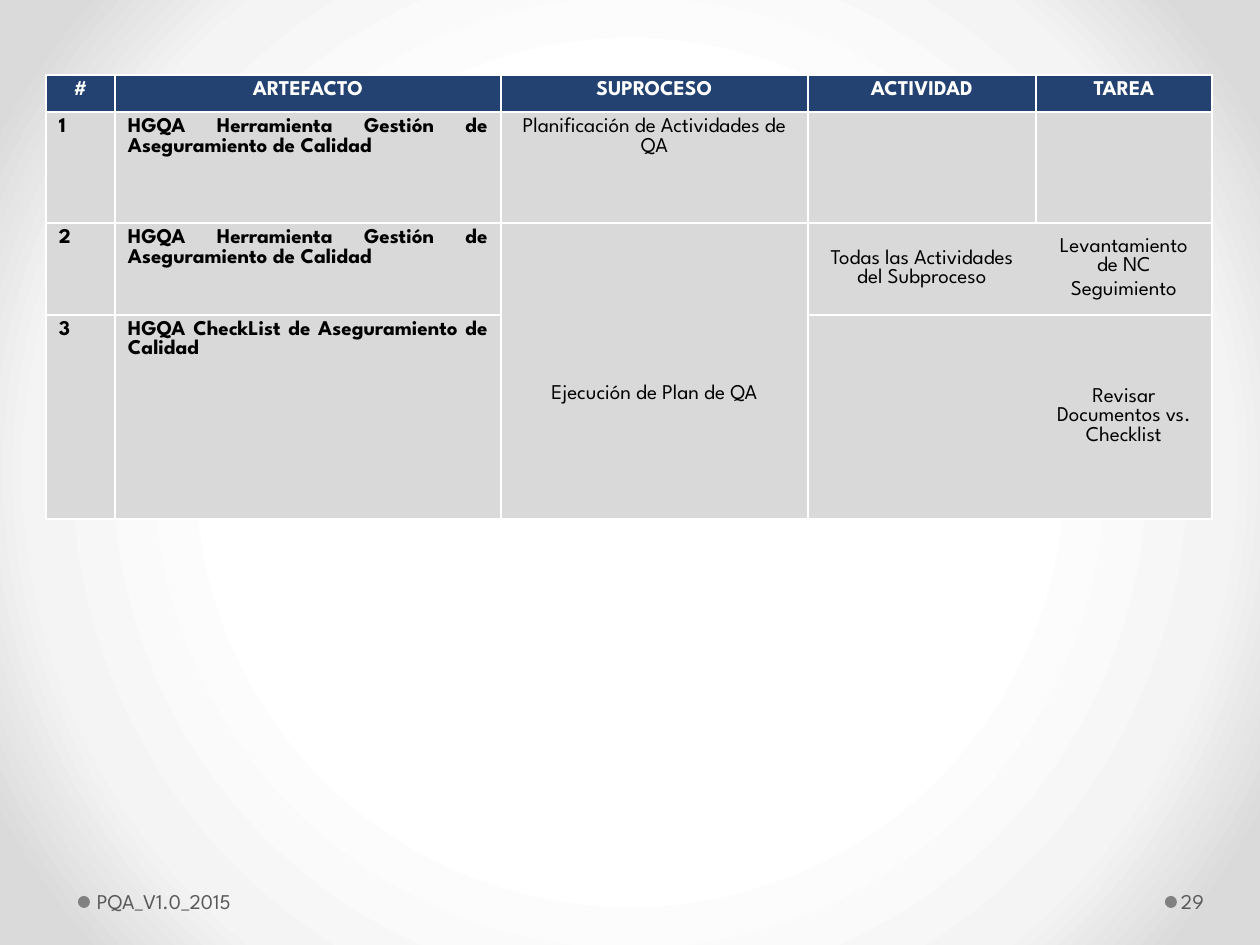
"""Build the slide that maps quality artefacts to subprocesses, activities and tasks."""
from dataclasses import dataclass

from pptx import Presentation
from pptx.dml.color import RGBColor
from pptx.enum.shapes import MSO_SHAPE as Shape
from pptx.enum.text import MSO_ANCHOR as Anchor, PP_ALIGN as Align
from pptx.oxml import parse_xml
from pptx.util import Pt

PIXEL = 914400 // 126
NS = 'xmlns:{0}="http://schemas.openxmlformats.org/{1}/2006/main"'
DRAWING = NS.format("a", "drawingml")
SLIDE = NS.format("p", "presentationml")


@dataclass(frozen=True)
class Theme:
    font: str = "League Spartan"
    size: float = 12
    header: str = "234271"
    body: str = "D9D9D9"
    white: str = "FFFFFF"
    black: str = "000000"
    footer: str = "595959"
    dot: str = "808080"
    thin: float = 1
    thick: float = 1.5
    glow: tuple = ((50, "FFFFFF"), (76, "F4F4F4"), (92, "DADADA"))


theme = Theme()


def write(frame, text, color=theme.black, bold=False, align=Align.LEFT,
          anchor=Anchor.TOP, before=0, margins=(13, 6, 13, 6)):
    """Fill a text frame or a table cell, one paragraph for each line of text."""
    frame.margin_left, frame.margin_top, frame.margin_right, frame.margin_bottom = (
        side * PIXEL for side in margins)
    frame.vertical_anchor = anchor
    body = getattr(frame, "text_frame", frame)
    body.word_wrap = True
    body.text = text
    for para in body.paragraphs:
        para.alignment = align
        para.space_before = Pt(before)
        para.font.size = Pt(theme.size)
        for span in para.runs:
            span.font.name = theme.font
            span.font.size = Pt(theme.size)
            span.font.bold = bold
            span.font.color.rgb = RGBColor.from_string(color)


def draw_borders(cell, widths):
    """Outline a cell with widths for left, right, top and bottom; 0 draws none."""
    properties = cell._tc.get_or_add_tcPr()
    for index, (side, width) in enumerate(zip("LRTB", widths)):
        paint = (f'<a:solidFill><a:srgbClr val="{theme.white}"/></a:solidFill>'
                 if width else "<a:noFill/>")
        properties.insert(index, parse_xml(
            f'<a:ln{side} {DRAWING} w="{Pt(width)}">{paint}</a:ln{side}>'))


deck = Presentation()
deck.slide_width, deck.slide_height = 1260 * PIXEL, 945 * PIXEL
page = deck.slides.add_slide(deck.slide_layouts[6])

stops = "".join(f'<a:gs pos="{place * 1000}"><a:srgbClr val="{color}"/></a:gs>'
                for place, color in theme.glow)
page._element.cSld.insert(0, parse_xml(
    f'<p:bg {SLIDE} {DRAWING}><p:bgPr><a:gradFill rotWithShape="1">'
    f'<a:gsLst>{stops}</a:gsLst><a:path path="circle">'
    '<a:fillToRect l="50000" t="50000" r="50000" b="50000"/></a:path>'
    '</a:gradFill><a:effectLst/></p:bgPr></p:bg>'))

footers = [(1165, 1177, 77, "29", (4, 6, 6, 6)),
           (78, 91, 499, "PQA_V1.0_2015", (6, 6, 13, 6))]
for dot_left, left, width, text, margins in footers:
    dot = page.shapes.add_shape(
        Shape.OVAL, *(value * PIXEL for value in (dot_left, 896, 12, 12)))
    dot.shadow.inherit = False
    dot.fill.solid()
    dot.fill.fore_color.rgb = RGBColor.from_string(theme.dot)
    dot.line.fill.background()
    box = page.shapes.add_textbox(
        *(value * PIXEL for value in (left, 876, width, 50)))
    write(box.text_frame, text, color=theme.footer, anchor=Anchor.MIDDLE,
          margins=margins)

tool = "HGQA Herramienta Gestión de Aseguramiento de Calidad"
rows = [
    ["#", "ARTEFACTO", "SUPROCESO", "ACTIVIDAD", "TAREA"],
    ["1", tool, "Planificación de Actividades de QA", "", ""],
    ["2", tool, "Ejecución de Plan de QA", "Todas las Actividades del Subproceso",
     "Levantamiento de NC\nSeguimiento"],
    ["3", "HGQA CheckList de Aseguramiento de Calidad", "", "",
     "Revisar Documentos vs. Checklist"],
]
column_widths = [69, 386, 307, 228, 176]
row_heights = [32, 111, 75, 204]
thin, thick = theme.thin, theme.thick
special_borders = {
    (1, 2): (thin, thin, thin, thick),
    (1, 3): (thin, thin, thin, thick),
}
for row in (2, 3):
    special_borders[row, 1] = (thin, thick, thin, thin)
    special_borders[row, 2] = (thick,) * 4
    special_borders[row, 3] = (thick, 0, thick, thick)
    special_borders[row, 4] = (0, thin, thin, thin)

table = page.shapes.add_table(
    len(rows), len(column_widths), 46 * PIXEL, 75 * PIXEL,
    sum(column_widths) * PIXEL, sum(row_heights) * PIXEL).table
table.horz_banding = False
for column, width in zip(table.columns, column_widths):
    column.width = width * PIXEL
for line, height in zip(table.rows, row_heights):
    line.height = height * PIXEL
table.cell(2, 2).merge(table.cell(3, 2))

for row, texts in enumerate(rows):
    for column, text in enumerate(texts):
        cell = table.cell(row, column)
        heading = row == 0
        label = column < 2
        cell.fill.solid()
        cell.fill.fore_color.rgb = RGBColor.from_string(
            theme.header if heading else theme.body)
        draw_borders(cell, special_borders.get((row, column), (thin,) * 4))
        write(cell, text, before=theme.size * 0.2, bold=heading or label,
              color=theme.white if heading else theme.black,
              align=Align.JUSTIFY if label and not heading else Align.CENTER,
              anchor=Anchor.MIDDLE if row > 1 and not label else Anchor.TOP,
              margins=(13, 52 if (row, column) == (2, 2) else 6, 13, 6))

deck.save("out.pptx")
